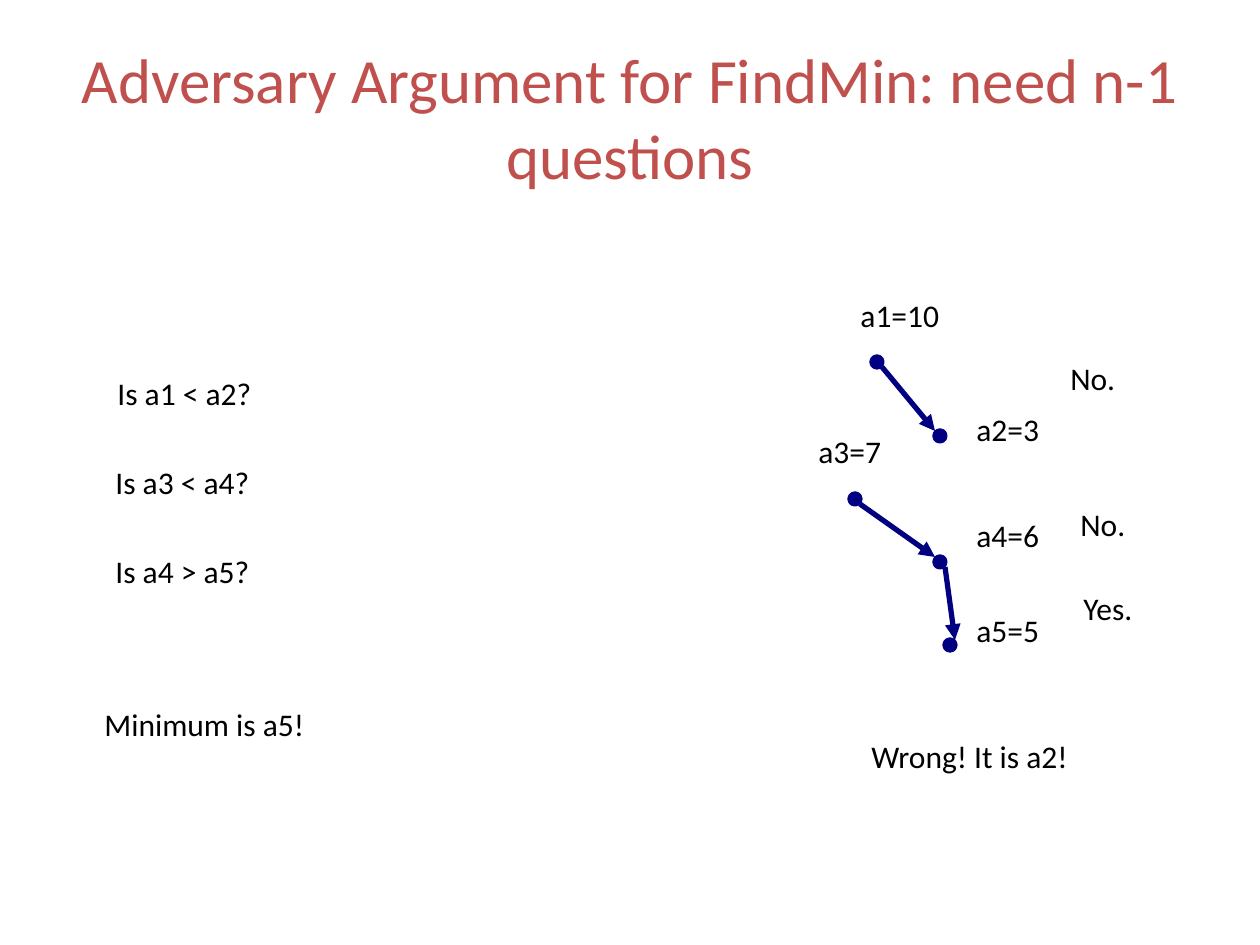
from lxml import etree
from pptx import Presentation
from pptx import util as u
from pptx.dml.color import RGBColor
from pptx.enum import shapes, text
from pptx.oxml import ns

PX = u.Inches(1) / 126
COLORS = {"title": "C0504D", "text": "000000", "graph": "000080"}
FONT = "Calibri"
TEXT_HEIGHT = 63
DOT = 10


def px(length):
    return u.Emu(round(length * PX))


def rgb(name):
    return RGBColor.from_string(COLORS[name])


def add_text(parent, words, left, top, width, height=TEXT_HEIGHT, size=18, color="text"):
    box = parent.add_textbox(px(left), px(top), px(width), px(height))
    box.text_frame.word_wrap = True
    para = box.text_frame.paragraphs[0]
    span = para.add_run()
    span.text = words
    span.font.name = FONT
    span.font.size = u.Pt(size)
    span.font.color.rgb = rgb(color)
    return box


def add_dot(parent, left, top):
    dot = parent.add_shape(shapes.MSO_SHAPE.OVAL, px(left), px(top), px(DOT), px(DOT))
    dot.shadow.inherit = False
    dot.fill.solid()
    dot.fill.fore_color.rgb = rgb("graph")
    dot.line.color.rgb = rgb("graph")
    dot.line.width = u.Pt(3)


def add_arrow(parent, start, end):
    arrow = parent.add_connector(shapes.MSO_CONNECTOR.STRAIGHT, *map(px, start + end))
    arrow.line.color.rgb = rgb("graph")
    arrow.line.width = u.Pt(3)
    etree.SubElement(arrow.line._get_or_add_ln(), ns.qn("a:tailEnd"), type="triangle")
    etree.SubElement(arrow._element.spPr, ns.qn("a:effectLst"))


def add_title(page, left, top, width, height):
    title = add_text(page.shapes, "Adversary Argument for FindMin: need n-1 questions",
                     left, top, width, height, 36, "title")
    title.text_frame.vertical_anchor = text.MSO_ANCHOR.MIDDLE
    title.text_frame.paragraphs[0].alignment = text.PP_ALIGN.CENTER


def add_questions(page, left, top, width):
    lines = [("Is a1 < a2?", 13, 0), ("Is a3 < a4?", 11, 89),
             ("Is a4 > a5?", 11, 178), ("Minimum is a5!", 0, 331)]
    for words, x, y in lines:
        add_text(page.shapes, words, left + x, top + y, width - x)


def add_answers(page, left, top):
    """Draw one group per comparison, with arrows pointing to the smaller value."""
    # Each node: label, label offset, label width, dot offset.
    nodes = {
        "a1": ("a1=10", 42, 0, 131, 66, 67),
        "a2": ("a2=3", 158, 114, 110, 129, 141),
        "a3": ("a3=7", 0, 136, 110, 44, 204),
        "a4": ("a4=6", 158, 220, 110, 129, 267),
        "a5": ("a5=5", 158, 315, 110, 139, 350),
    }
    # Each comparison: larger, smaller, new nodes, arrow end across the dot, answer.
    comparisons = [
        ("a1", "a2", ("a1", "a2"), 0, "No.", 252, 63),
        ("a3", "a4", ("a3", "a4"), 0, "No.", 262, 209),
        ("a4", "a5", ("a5",), DOT, "Yes.", 265, 293),
    ]
    for larger, smaller, new_nodes, end_shift, answer, x, y in comparisons:
        group = page.shapes.add_group_shape().shapes
        for name in new_nodes:
            label, label_x, label_y, width, dot_x, dot_y = nodes[name]
            add_dot(group, left + dot_x, top + dot_y)
            add_text(group, label, left + label_x, top + label_y, width)
        start_x, start_y = nodes[larger][-2:]
        end_x, end_y = nodes[smaller][-2:]
        add_arrow(group, (left + start_x + DOT, top + start_y + DOT),
                  (left + end_x + end_shift, top + end_y))
        add_text(group, answer, left + x, top + y, 100)
    add_text(page.shapes, "Wrong! It is a2!", left + 53, top + 441, 295)


def main():
    deck = Presentation()
    deck.slide_width, deck.slide_height = px(1260), px(945)
    page = deck.slides.add_slide(deck.slide_layouts[6])
    add_title(page, 63, 38, 1134, 157)
    add_questions(page, 92, 368, 296)
    add_answers(page, 806, 290)
    deck.save("out.pptx")


if __name__ == "__main__":
    main()
